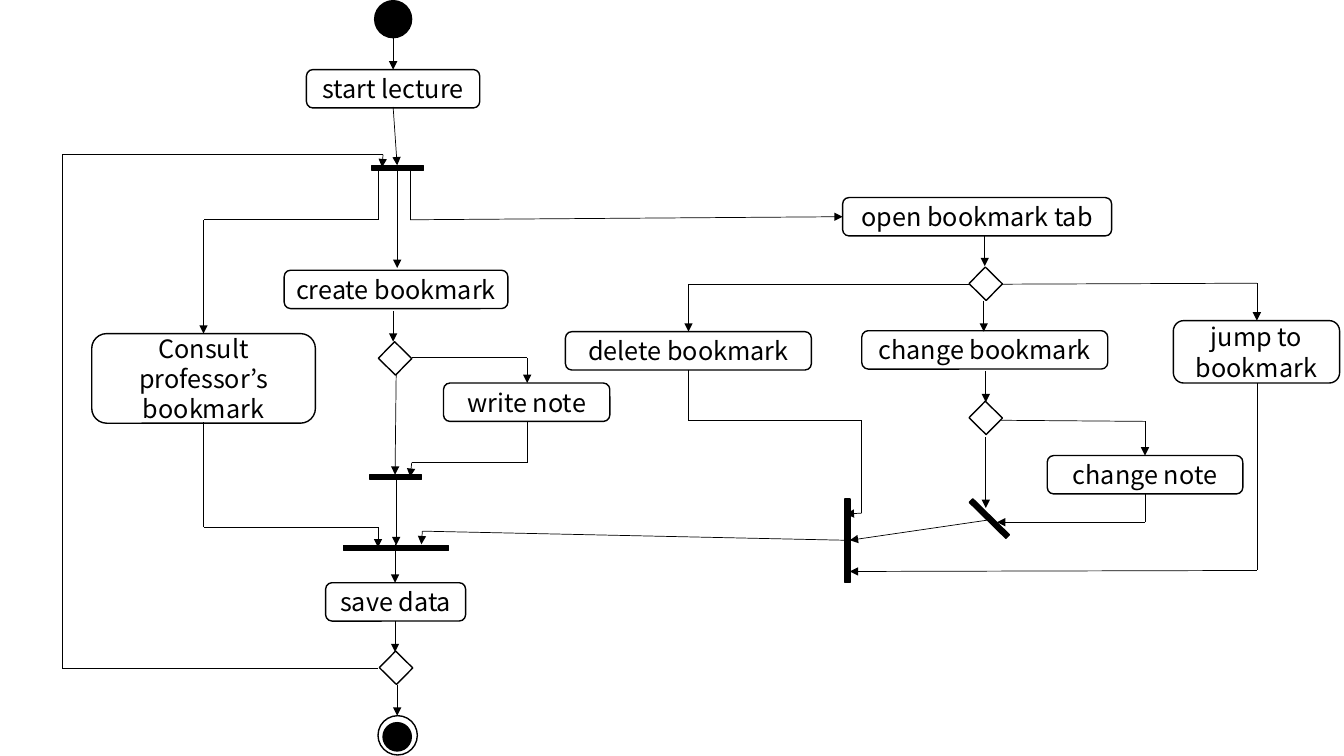
from itertools import pairwise

from lxml import etree
from pptx import Presentation
from pptx.dml.color import RGBColor
from pptx.enum.shapes import MSO_CONNECTOR as Connector, MSO_SHAPE as Shape
from pptx.enum.text import MSO_ANCHOR as Anchor, PP_ALIGN as Align
from pptx.oxml.ns import qn
from pptx.util import Pt

BLACK = RGBColor(0, 0, 0)
BOX_HEIGHT = 27.4
DIAMOND = (17.2, 16.6)
BAR_HEIGHT = 3.6


class Diagram:
    font = {"name": "Noto Sans CJK KR", "size": Pt(18)}
    para = {"alignment": Align.CENTER, "line_spacing": Pt(21.6)}
    outline = 1
    flow_width = 0.5

    def __init__(self, slide):
        self.shapes = slide.shapes

    def shape(self, kind, left, top, width, height, filled=False, rotation=0):
        shape = self.shapes.add_shape(kind, Pt(left), Pt(top), Pt(width), Pt(height))
        shape.shadow.inherit = False
        shape.rotation = rotation
        if filled:
            shape.fill.solid()
            shape.fill.fore_color.rgb = BLACK
        else:
            shape.fill.background()
        shape.line.color.rgb = BLACK
        shape.line.width = Pt(self.outline)
        return shape

    def activity(self, text, left, top, width, height=BOX_HEIGHT):
        box = self.shape(Shape.ROUNDED_RECTANGLE, left, top, width, height)
        frame = box.text_frame
        frame.word_wrap = height > BOX_HEIGHT
        frame.vertical_anchor = Anchor.MIDDLE
        para = frame.paragraphs[0]
        for name, value in self.para.items():
            setattr(para, name, value)
        span = para.add_run()
        span.text = text
        for name, value in self.font.items():
            setattr(span.font, name, value)
        span.font.color.rgb = BLACK

    def decision(self, left, top):
        self.shape(Shape.RECTANGLE, left, top, *DIAMOND, rotation=44.5)

    def bar(self, left, top, length, rotation=0):
        self.shape(Shape.RECTANGLE, left, top, length, BAR_HEIGHT, True, rotation)

    def circle(self, left, top, size, filled=False):
        return self.shape(Shape.OVAL, left, top, size, size, filled)

    def flow(self, *points):
        for start, end in pairwise(points):
            line = self.shapes.add_connector(
                Connector.STRAIGHT, *(Pt(value) for value in start + end)
            )
            line.line.color.rgb = BLACK
            line.line.width = Pt(self.flow_width)
            properties = line._element.spPr
            etree.SubElement(properties, qn("a:effectLst"))
        stroke = properties.find(qn("a:ln"))
        etree.SubElement(stroke, qn("a:tailEnd"), type="triangle")


ACTIVITIES = [
    ("start lecture", 218.9, 49.7, 123.8),
    ("create bookmark", 203, 193, 159.8),
    ("save data", 232.6, 416.2, 100),
    ("open bookmark tab", 601.9, 141.1, 192.2),
    ("write note", 316.8, 273.6, 118.8),
    ("delete bookmark", 403.9, 236.9, 175.7),
    ("change bookmark", 615.6, 236.2, 175.7),
    ("change note", 748.1, 325.4, 139.7),
    ("Consult professor’s bookmark", 65.5, 238.3, 159.8, 64),
    ("jump to bookmark", 838.1, 229, 118.8, 44.6),
]
DECISIONS = [(273.6, 247.7), (274.3, 468.7), (695.5, 194.4), (695.5, 290.2)]
BARS = [
    (265.7, 118.1, 36.7),
    (264.2, 339.1, 36.7),
    (245.5, 389.5, 74.9),
    (575.3, 384.5, 59.8, 90),
    (688.3, 368.6, 36.7, 44.5),
]
FLOWS = [
    [(280.8, 27.4), (280.8, 49.7)],
    [(280.8, 76.3), (283.7, 118.1)],
    [(283.7, 118.1), (283.7, 191.5)],
    [(280.8, 222.5), (280.8, 244.1)],
    [(283, 267.8), (282.2, 339.1)],
    [(283, 342.7), (283, 389.5)],
    [(282.2, 388.8), (282.2, 416.2)],
    [(282.2, 443.5), (282.2, 465.8)],
    [(283.7, 489.6), (283.7, 511.2)],
    [(270, 477.4), (44.6, 477.4), (44.6, 110.5), (273.6, 110.5), (272.9, 119.5)],
    [(270, 121), (270, 157), (145.4, 157), (145.4, 238.3)],
    [(145.4, 301.7), (145.4, 376.6), (270, 376.6), (270, 391)],
    [(293, 120.2), (293, 157), (601.9, 154.8)],
    [(294.5, 255.6), (376.6, 255.6), (376.6, 273.6)],
    [(376.6, 301), (376.6, 330.5), (294.1, 330.5), (293, 340.6)],
    [(703.4, 168.5), (703.4, 190.1)],
    [(691.9, 203), (491.8, 203), (491.8, 236.9)],
    [(491.8, 264.2), (491.8, 300.6), (615.6, 300.6), (615.6, 366.5), (604.1, 367.2)],
    [(702.7, 215.3), (702.7, 236.9)],
    [(704.2, 265), (704.2, 287.3)],
    [(704.2, 312.5), (704.2, 362.9)],
    [(714.2, 300.2), (817.9, 301), (817.9, 325.4)],
    [(817.9, 352.8), (817.9, 373), (712.1, 373)],
    [(705.6, 371.5), (607, 385.9)],
    [(603.4, 385.9), (301.7, 379.4), (301, 388.8)],
    [(715.7, 203), (897.8, 202.3), (897.8, 229)],
    [(897.8, 273.6), (897.8, 407.5), (607, 408.2)],
]

deck = Presentation()
deck.slide_width, deck.slide_height = Pt(960), Pt(540)
diagram = Diagram(deck.slides.add_slide(deck.slide_layouts[6]))

start = diagram.circle(267.1, 0, 27.4, filled=True)
start.line.fill.background()
diagram.circle(270, 511.2, 28.1)
diagram.circle(273.6, 516.2, 20.2, filled=True)
for activity in ACTIVITIES:
    diagram.activity(*activity)
for decision in DECISIONS:
    diagram.decision(*decision)
for bar in BARS:
    diagram.bar(*bar)
for points in FLOWS:
    diagram.flow(*points)

deck.save("out.pptx")
